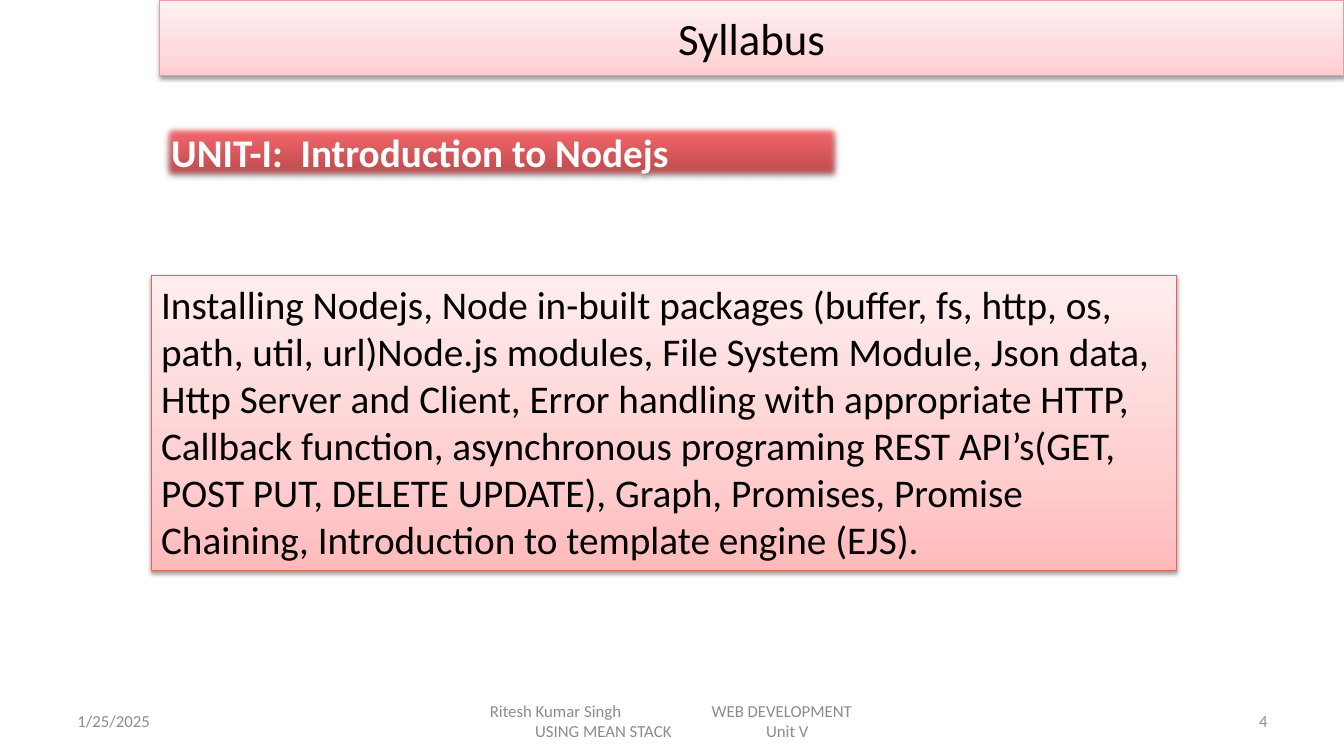
from lxml import etree
from pptx import Presentation
from pptx import util as u
from pptx.dml import color
from pptx.enum import shapes, text
from pptx.oxml import ns

COLOURS = {
    "black": "000000", "white": "FFFFFF", "grey": "8C8C8C",
    "title_line": "E89CA0", "topics_line": "E66265",
}
TITLE_STOPS = [(0, "FFCDCF"), (35, "FFDBDD"), (100, "FFF1F2")]
UNIT_STOPS = [(0, "B44649"), (80, "F16569"), (100, "F56367")]
TOPICS_STOPS = [(0, "FFBBBC"), (35, "FFCFD0"), (100, "FFEDED")]
TOPICS = (
    "Installing Nodejs, Node in-built packages (buffer, fs, http, os, path, util, "
    "url)Node.js modules, File System Module, Json data, Http Server and Client, "
    "Error handling with appropriate HTTP, Callback function, asynchronous programing "
    "REST API’s(GET, POST PUT, DELETE UPDATE), Graph, Promises, Promise Chaining, "
    "Introduction to template engine (EJS)."
)
FOOTER_LINES = [
    ("\tRitesh Kumar Singh\tWEB DEVELOPMENT", (0.2, 2.4)),
    ("\tUSING MEAN STACK\tUnit V", (0.65, 2.94)),
]


def add_element(parent, tag, **attributes):
    """Append a DrawingML element with the given attributes."""
    values = {name: str(value) for name, value in attributes.items()}
    return etree.SubElement(parent, ns.qn(tag), values)


def write_paragraph(para, words, size, colour, align=text.PP_ALIGN.LEFT, bold=False, tabs=()):
    """Fill one paragraph with formatted words and optional tab stops."""
    if tabs:
        tab_list = add_element(para._p.get_or_add_pPr(), "a:tabLst")
        for position in tabs:
            add_element(tab_list, "a:tab", pos=u.Inches(position), algn="l")
    para.alignment = align
    span = para.add_run()
    span.text = words
    formats = {"name": "Calibri", "size": u.Pt(size), "bold": bold}
    for name, value in formats.items():
        setattr(span.font, name, value)
    span.font.color.rgb = color.RGBColor.from_string(COLOURS[colour])


def set_frame(shape, anchor):
    """Wrap the text of a shape, anchor it and return its first paragraph."""
    frame = shape.text_frame
    for name, value in {"word_wrap": True, "vertical_anchor": anchor}.items():
        setattr(frame, name, value)
    return frame.paragraphs[0]


def add_panel(page, box, stops, line, shadow):
    """Add a gradient rectangle with a soft shadow below it."""
    panel = page.shapes.add_shape(shapes.MSO_SHAPE.RECTANGLE, *map(u.Inches, box))
    panel.fill.gradient()
    panel.fill.gradient_angle = 90
    stop_list = panel._element.spPr.find(".//" + ns.qn("a:gsLst"))
    for stop in list(stop_list):
        stop_list.remove(stop)
    for position, value in stops:
        stop = add_element(stop_list, "a:gs", pos=position * 1000)
        add_element(stop, "a:srgbClr", val=value)
    if line:
        panel.line.color.rgb = color.RGBColor.from_string(COLOURS[line])
        panel.line.width = u.Pt(0.75)
    else:
        panel.line.fill.background()
    panel.shadow.inherit = False
    opacity, distance = shadow
    effects = panel._element.spPr.find(ns.qn("a:effectLst"))
    outer = add_element(effects, "a:outerShdw", blurRad=u.Pt(3.1), dist=u.Pt(distance),
                        dir=90 * 60000, rotWithShape=0)
    shade = add_element(outer, "a:srgbClr", val=COLOURS["black"])
    add_element(shade, "a:alpha", val=opacity * 1000)
    return panel


def add_title(page, box):
    """Add the title banner."""
    banner = add_panel(page, box, TITLE_STOPS, "title_line", (38, 1.6))
    para = set_frame(banner, text.MSO_ANCHOR.MIDDLE)
    write_paragraph(para, "Syllabus", 32, "black", text.PP_ALIGN.CENTER)


def add_unit(page, box):
    """Add the soft-edged unit heading."""
    heading = add_panel(page, box, UNIT_STOPS, None, (35, 1.8))
    effects = heading._element.spPr.find(ns.qn("a:effectLst"))
    add_element(effects, "a:softEdge", rad=u.Pt(5))
    para = set_frame(heading, text.MSO_ANCHOR.TOP)
    write_paragraph(para, "UNIT-I:  Introduction to Nodejs", 28, "white",
                    text.PP_ALIGN.JUSTIFY, bold=True)


def add_topics(page, box):
    """Add the panel listing the unit's topics."""
    panel = add_panel(page, box, TOPICS_STOPS, "topics_line", (38, 1.6))
    write_paragraph(set_frame(panel, text.MSO_ANCHOR.TOP), TOPICS, 28, "black")


def add_footer(page, box):
    """Add the date, course lines and page number along the bottom."""
    left, top, width, height = box
    side, middle = 3.11, 4.22
    parts = [
        (left, side, [("1/25/2025", ())], text.PP_ALIGN.LEFT),
        (left + (width - middle) / 2, middle, FOOTER_LINES, text.PP_ALIGN.LEFT),
        (left + width - side, side, [("4", ())], text.PP_ALIGN.RIGHT),
    ]
    for part_left, part_width, lines, align in parts:
        part = page.shapes.add_textbox(*map(u.Inches, (part_left, top, part_width, height)))
        para = set_frame(part, text.MSO_ANCHOR.MIDDLE)
        for index, (words, tabs) in enumerate(lines):
            if index:
                para = part.text_frame.add_paragraph()
            write_paragraph(para, words, 12, "grey", align, tabs=tabs)


def main():
    """Build the syllabus slide and save it."""
    deck = Presentation()
    deck.slide_width, deck.slide_height = u.Inches(13.33), u.Inches(7.5)
    page = deck.slides.add_slide(deck.slide_layouts[6])
    add_title(page, (1.58, 0, 11.75, 0.75))
    add_unit(page, (1.6, 1.22, 6.75, 0.57))
    add_topics(page, (1.5, 2.73, 10.17, 2.93))
    add_footer(page, (0.67, 6.95, 12, 0.4))
    deck.save("out.pptx")


if __name__ == "__main__":
    main()
